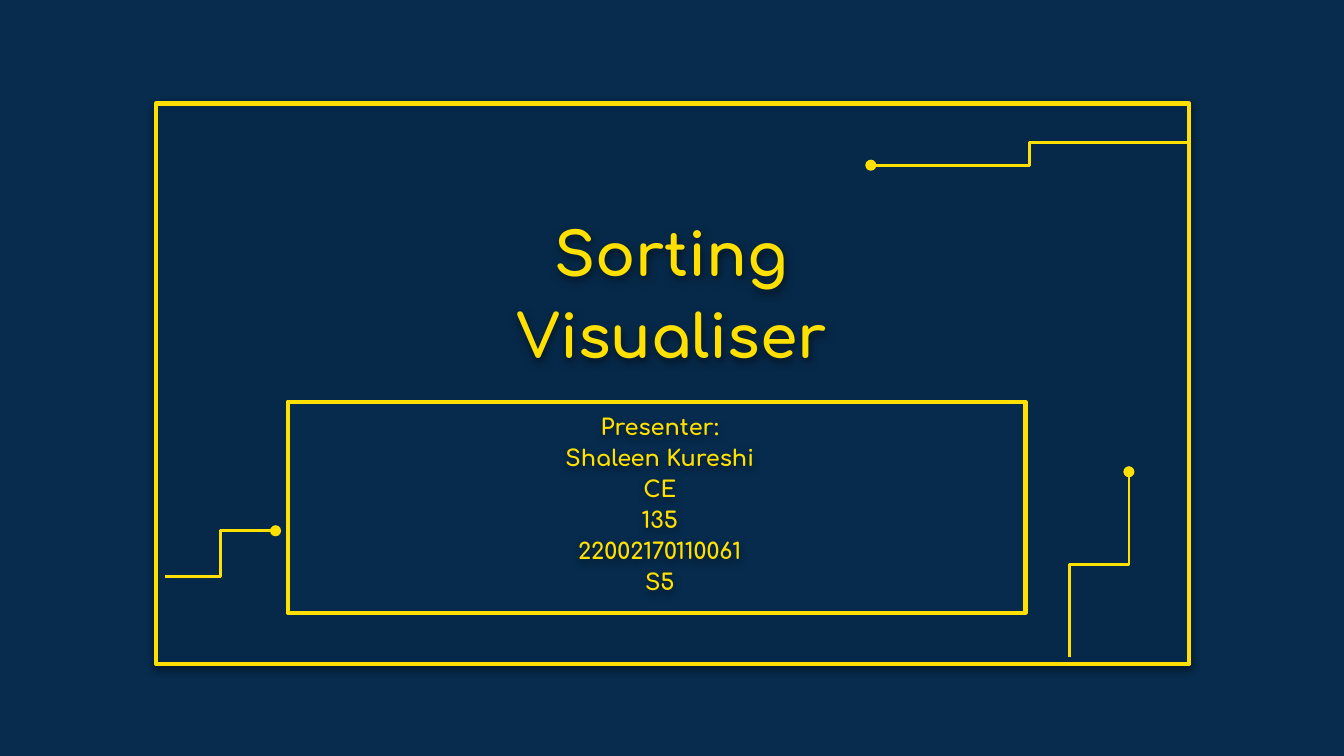
from dataclasses import dataclass

from lxml import etree
from pptx import Presentation
from pptx import util as u
from pptx.dml.color import RGBColor
from pptx.enum import shapes, text
from pptx.oxml import ns


@dataclass(frozen=True)
class Theme:
    navy: RGBColor = RGBColor(0x07, 0x2C, 0x4E)
    yellow: RGBColor = RGBColor(0xFF, 0xE0, 0x00)
    shadow: str = "000000"
    font: str = "Comfortaa"
    title_size: int = 32
    body_size: int = 12
    frame_width: float = 2.25
    circuit_width: float = 1.5


THEME = Theme()
PRESENTER = ["Presenter:", "Shaleen Kureshi", "CE", "135", "22002170110061", "S5"]


def add_node(parent, tag, **attributes):
    return etree.SubElement(parent, ns.qn(tag), attributes)


def add_shadow(shape):
    shape.shadow.inherit = False
    effects = shape._element.spPr.find(ns.qn("a:effectLst"))
    shadow = add_node(effects, "a:outerShdw", blurRad=str(u.Pt(4.5)),
                      dist=str(u.Pt(1.5)), dir="5400000", algn="bl", rotWithShape="0")
    color = add_node(shadow, "a:srgbClr", val=THEME.shadow)
    add_node(color, "a:alpha", val="50000")


def add_frame(page, left, top, width, height):
    frame = page.shapes.add_shape(shapes.MSO_SHAPE.RECTANGLE, u.Inches(left),
                                  u.Inches(top), u.Inches(width), u.Inches(height))
    frame.shadow.inherit = False
    frame.fill.solid()
    frame.fill.fore_color.rgb = THEME.navy
    color = frame._element.spPr.find(ns.qn("a:solidFill"))[0]
    add_node(color, "a:alpha", val="86000")
    frame.line.color.rgb = THEME.yellow
    frame.line.width = u.Pt(THEME.frame_width)
    return frame


def add_text(page, left, top, width, height, wording, size, anchor):
    box = page.shapes.add_textbox(u.Inches(left), u.Inches(top),
                                  u.Inches(width), u.Inches(height))
    add_shadow(box)
    frame = box.text_frame
    frame.word_wrap = True
    frame.vertical_anchor = anchor
    frame.margin_left = frame.margin_right = u.Inches(0.1)
    frame.margin_top = frame.margin_bottom = u.Inches(0.1)
    frame.text = wording
    for para in frame.paragraphs:
        para.alignment = text.PP_ALIGN.CENTER
        para.line_spacing = 1.15
        for span in para.runs:
            span.font.name = THEME.font
            span.font.size = u.Pt(size)
            span.font.bold = True
            span.font.color.rgb = THEME.yellow


def add_circuit(page, start, end, dot, upright=False):
    (x1, y1), (x2, y2) = start, end
    if upright:
        middle_x, middle_y = (x1 + x2) / 2, (y1 + y2) / 2
        half_length, half_rise = (y1 - y2) / 2, (x2 - x1) / 2
        x1, x2 = middle_x - half_length, middle_x + half_length
        y1, y2 = middle_y - half_rise, middle_y + half_rise
    circuit = page.shapes.add_connector(shapes.MSO_CONNECTOR.ELBOW, u.Inches(x1),
                                        u.Inches(y1), u.Inches(x2), u.Inches(y2))
    circuit.line.color.rgb = THEME.yellow
    circuit.line.width = u.Pt(THEME.circuit_width)
    properties = circuit._element.spPr
    if upright:
        properties.find(ns.qn("a:xfrm")).set("rot", str(270 * 60000))
    add_node(properties.find(ns.qn("a:ln")), dot, type="oval")
    add_node(properties, "a:effectLst")


def main():
    deck = Presentation()
    deck.slide_width = u.Inches(10)
    deck.slide_height = u.Inches(10 * 9 / 16)
    page = deck.slides.add_slide(deck.slide_layouts[6])
    page.background.fill.solid()
    page.background.fill.fore_color.rgb = THEME.navy

    add_shadow(add_frame(page, 1.16, 0.77, 7.69, 4.17))
    add_text(page, 1.27, 1.36, 7.45, 1.5, "Sorting\vVisualiser",
             THEME.title_size, text.MSO_ANCHOR.BOTTOM)
    add_circuit(page, (6.48, 1.23), (8.84, 1.06), "a:headEnd")
    add_circuit(page, (7.96, 4.89), (8.4, 3.51), "a:tailEnd", upright=True)
    add_circuit(page, (1.23, 4.29), (2.05, 3.95), "a:tailEnd")
    add_frame(page, 2.14, 2.99, 5.49, 1.57)
    add_text(page, 2.21, 2.99, 5.4, 1.49, "\n".join(PRESENTER),
             THEME.body_size, text.MSO_ANCHOR.MIDDLE)
    deck.save("out.pptx")


if __name__ == "__main__":
    main()
